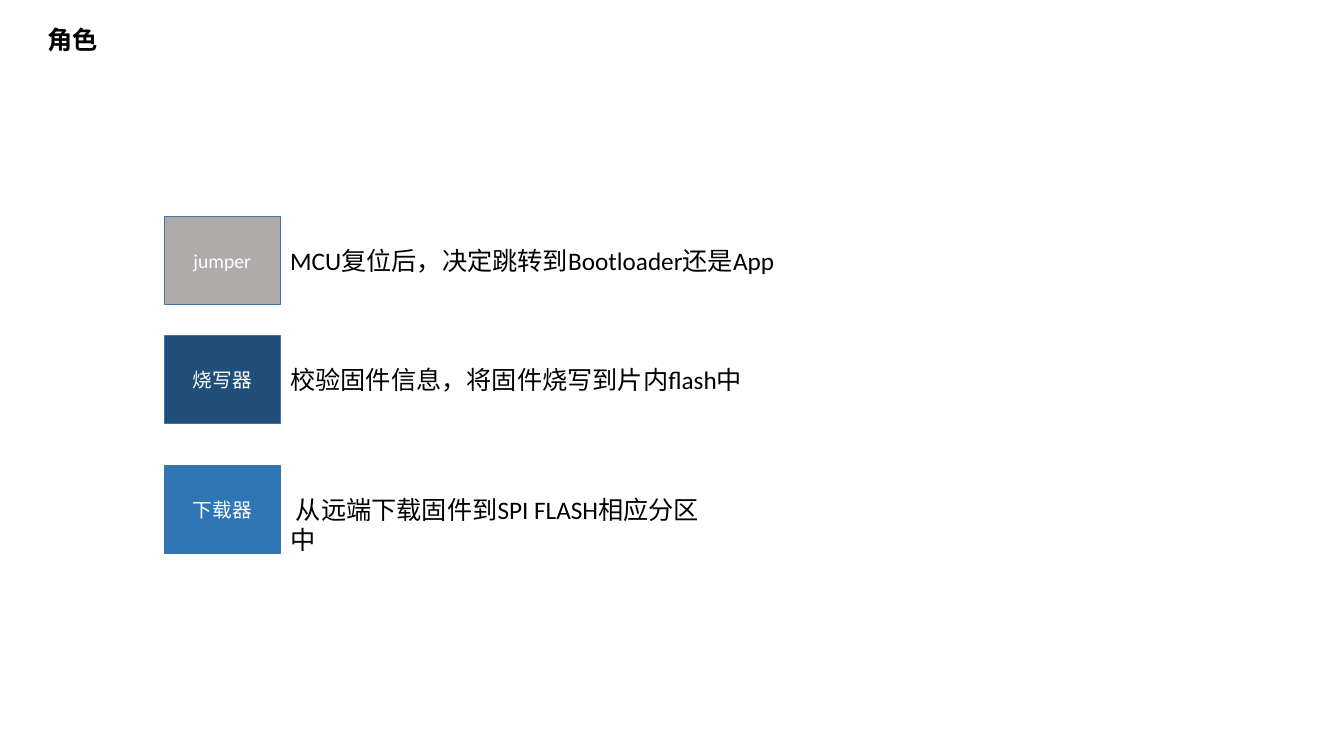
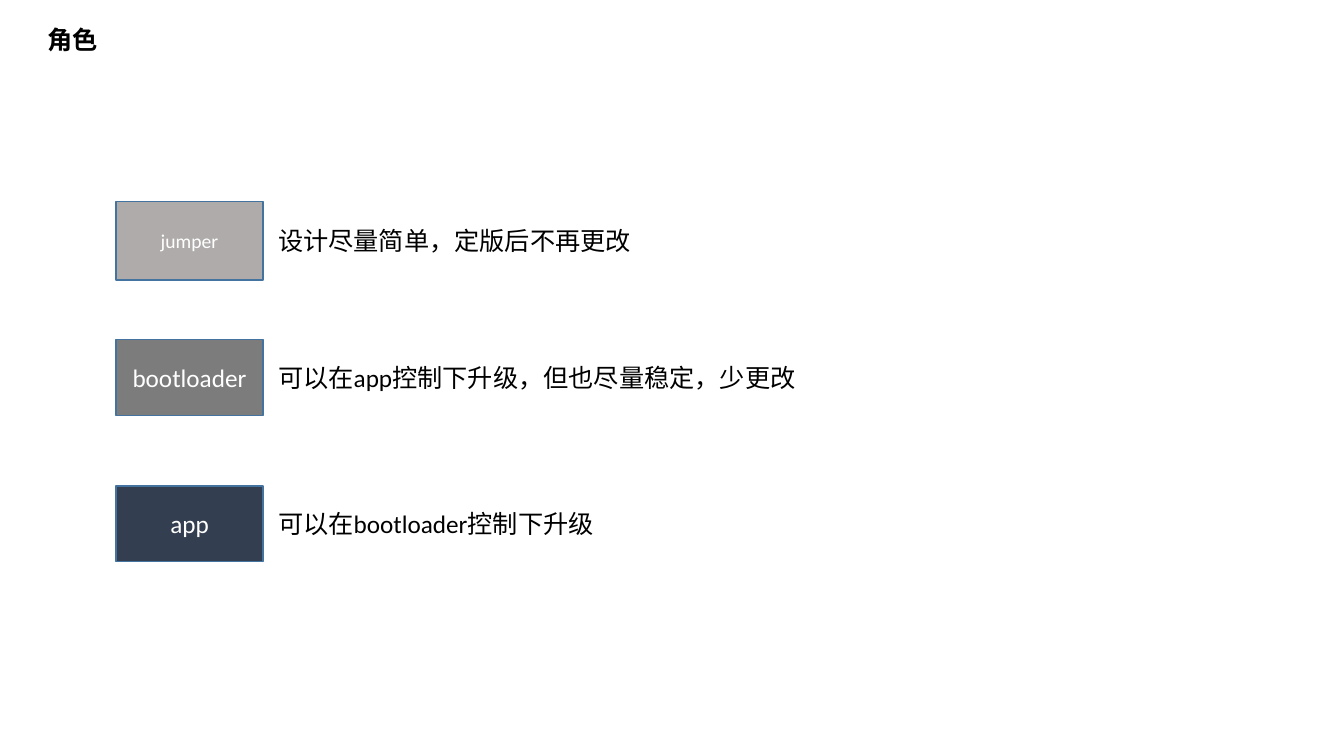
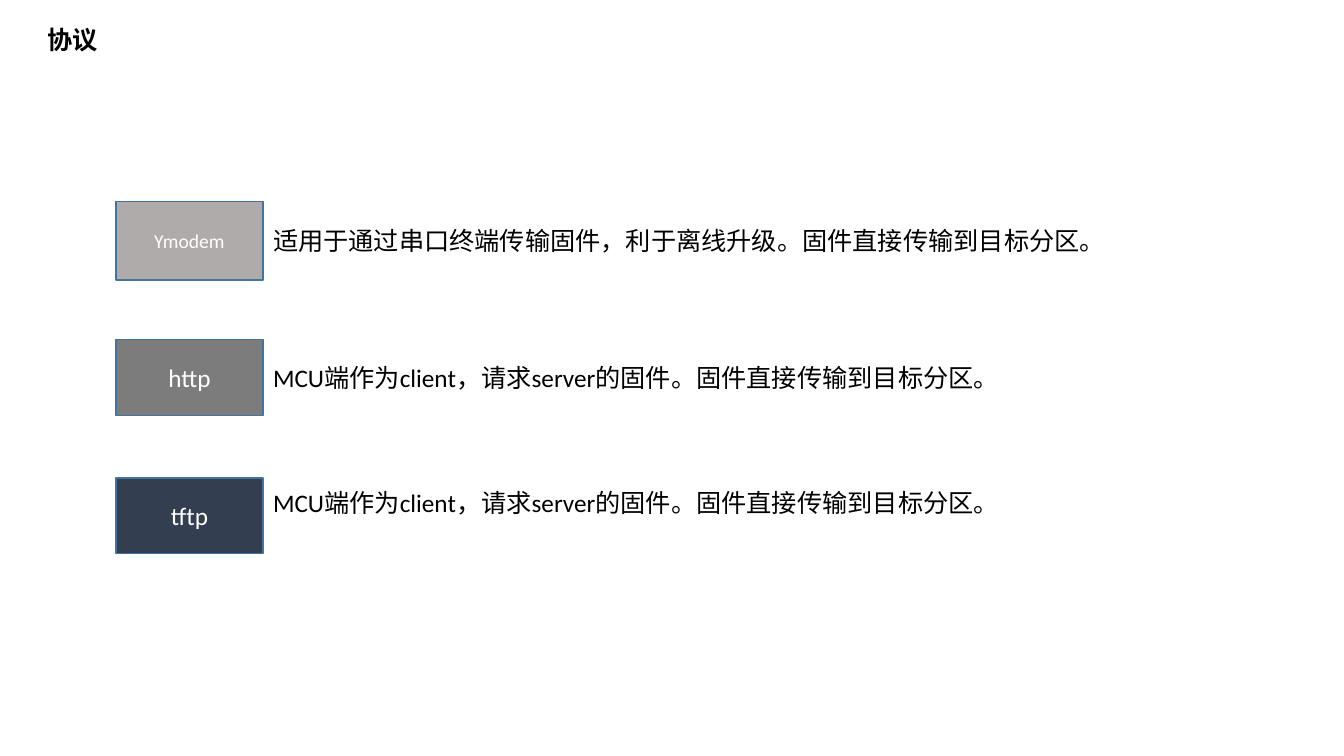
from dataclasses import dataclass

from lxml import etree
from pptx import Presentation
from pptx import util as u
from pptx.dml.color import RGBColor
from pptx.enum import lang, shapes, text
from pptx.oxml import ns

BLACK = RGBColor(0x00, 0x00, 0x00)
WHITE = RGBColor(0xFF, 0xFF, 0xFF)
OUTLINE = RGBColor(0x43, 0x73, 0x9E)
LIGHT_GRAY = RGBColor(0xAF, 0xAB, 0xAB)
GRAY = RGBColor(0x7C, 0x7C, 0x7C)
SLATE = RGBColor(0x33, 0x3F, 0x50)
NAVY = RGBColor(0x1F, 0x4E, 0x79)
BLUE = RGBColor(0x2E, 0x75, 0xB6)

FONT = "Calibri"
CJK_FONT = "Noto Sans CJK SC"
TITLE_ONLY = 5
TITLE_BOX = (0.37, 0.19, 7.09, 0.4)
LINE_HEIGHT = 0.4


@dataclass
class Row:
    """One coloured tag with its description; lengths in inches."""
    tag: str
    fill: RGBColor
    top: float
    height: float
    description: str
    width: float
    tag_size: int = 18
    font: str = FONT
    shift: float = 0


def inches(box):
    return [u.Inches(length) for length in box]


def write(shape, words, size, color, font=FONT, bold=False,
          align=text.PP_ALIGN.LEFT, anchor=text.MSO_ANCHOR.TOP):
    frame = shape.text_frame
    frame.text = words
    frame.word_wrap = True
    frame.auto_size = text.MSO_AUTO_SIZE.NONE
    frame.vertical_anchor = anchor
    paragraph = frame.paragraphs[0]
    paragraph.alignment = align
    paragraph.font.size = u.Pt(size)
    paragraph.font.bold = bold
    paragraph.font.name = font
    paragraph.font.color.rgb = color
    paragraph.font.language_id = lang.MSO_LANGUAGE_ID.SIMPLIFIED_CHINESE
    defaults = paragraph._p.get_or_add_pPr().find(ns.qn("a:defRPr"))
    etree.SubElement(defaults, ns.qn("a:ea")).set("typeface", FONT)


def add_title(slide, words):
    title = slide.shapes.title
    title.left, title.top, title.width, title.height = inches(TITLE_BOX)
    write(title, words, 18, BLACK, bold=True)


def add_tag(slide, row, box):
    tag = slide.shapes.add_shape(shapes.MSO_SHAPE.RECTANGLE, *inches(box))
    tag.shadow.inherit = False
    tag.fill.solid()
    tag.fill.fore_color.rgb = row.fill
    tag.line.color.rgb = OUTLINE
    tag.line.width = u.Pt(1)
    write(tag, row.tag, row.tag_size, WHITE,
          align=text.PP_ALIGN.CENTER, anchor=text.MSO_ANCHOR.MIDDLE)


def add_row(slide, row, left, tag_width, gap):
    """Place the tag, and its description level with the tag's middle."""
    add_tag(slide, row, (left, row.top, tag_width, row.height))
    top = row.top + (row.height - LINE_HEIGHT) / 2 + row.shift
    box = (left + tag_width + gap, top, row.width, LINE_HEIGHT)
    description = slide.shapes.add_textbox(*inches(box))
    write(description, row.description, 18, BLACK, row.font)


def add_list_slide(presentation, title, rows, left=1.15, tag_width=1.46, gap=0):
    slide = presentation.slides.add_slide(presentation.slide_layouts[TITLE_ONLY])
    add_title(slide, title)
    for row in rows:
        add_row(slide, row, left, tag_width, gap)


def main():
    presentation = Presentation()
    presentation.slide_width = u.Inches(13.33)
    presentation.slide_height = u.Inches(7.5)

    add_list_slide(presentation, "角色", [
        Row("jumper", LIGHT_GRAY, 2.15, 0.87,
            "MCU复位后，决定跳转到Bootloader还是App", 5, 14),
        Row("烧写器", NAVY, 3.33, 0.87,
            "校验固件信息，将固件烧写到片内flash中", 4.68, 14),
        Row("下载器", BLUE, 4.62, 0.87,
            " 从远端下载固件到SPI FLASH相应分区中", 4.5, 14),
    ], left=1.63, tag_width=1.15)

    add_list_slide(presentation, "角色", [
        Row("jumper", LIGHT_GRAY, 2, 0.78,
            "设计尽量简单，定版后不再更改", 3.8, 14, CJK_FONT),
        Row("bootloader", GRAY, 3.37, 0.75,
            "可以在app控制下升级，但也尽量稳定，少更改", 5.33),
        Row("app", SLATE, 4.82, 0.75, "可以在bootloader控制下升级", 3.33),
    ], gap=0.05)

    request = "MCU端作为client，请求server的固件。固件直接传输到目标分区。"
    add_list_slide(presentation, "协议", [
        Row("Ymodem", LIGHT_GRAY, 2, 0.78,
            "适用于通过串口终端传输固件，利于离线升级。固件直接传输到目标分区。",
            8.5, 14),
        Row("http", GRAY, 3.37, 0.75, request, 7.4),
        Row("tftp", SLATE, 4.74, 0.75, request, 7.4, shift=-0.13),
    ])

    presentation.save("out.pptx")


if __name__ == "__main__":
    main()
